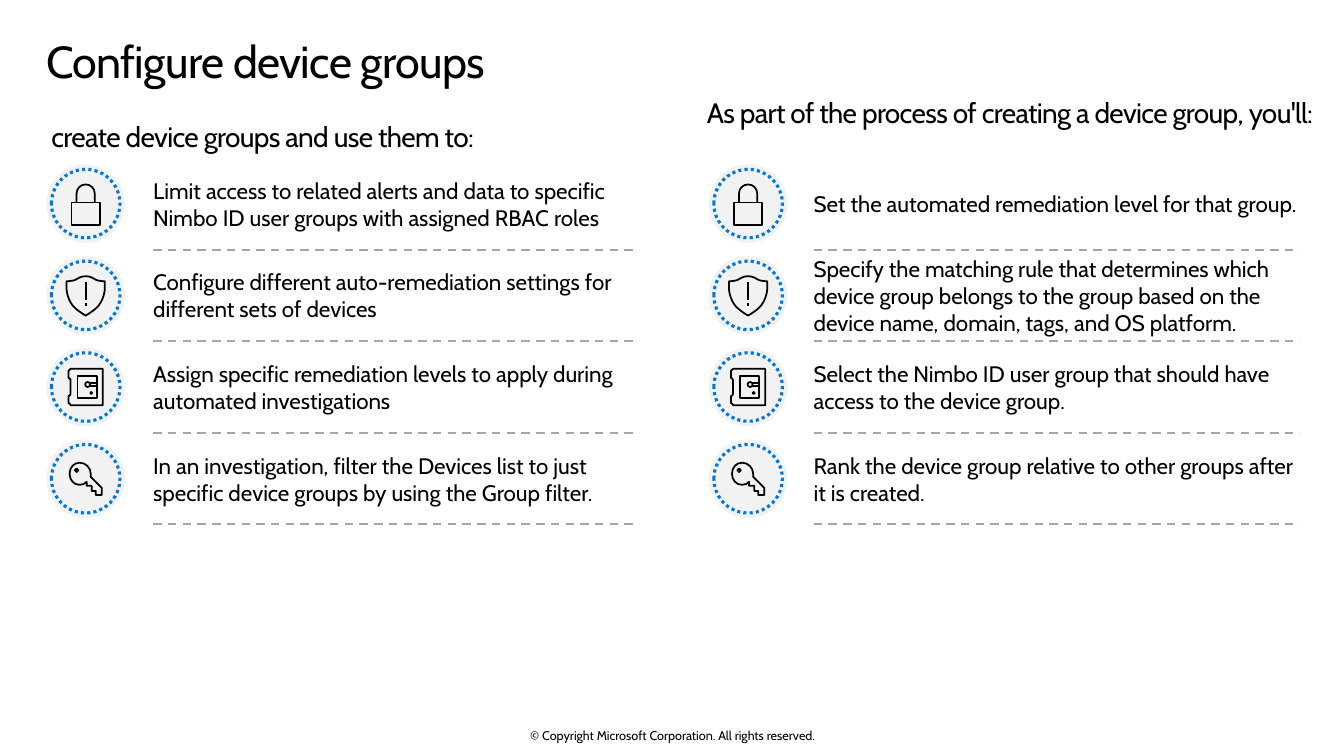
from pptx import Presentation
from pptx.dml.color import RGBColor
from pptx.enum.dml import MSO_LINE
from pptx.enum.shapes import MSO_CONNECTOR, MSO_SHAPE
from pptx.enum.text import MSO_ANCHOR, PP_ALIGN
from pptx.oxml.ns import qn
from pptx.util import Inches, Pt

DASH, DOTS = MSO_LINE.DASH, MSO_LINE.ROUND_DOT
STRAIGHT, OVAL = MSO_CONNECTOR.STRAIGHT, MSO_SHAPE.OVAL
TOP, MIDDLE = MSO_ANCHOR.TOP, MSO_ANCHOR.MIDDLE
LEFT, CENTER = PP_ALIGN.LEFT, PP_ALIGN.CENTER

FONT = "Cabin"
BLACK, GRAY, PALE, BLUE = "000000", "A6A6A6", "F2F2F2", "0078D4"
ROW_PITCH, FIRST_CENTER = 0.91, 2.02
FIRST_RULE, LAST_RULE = 2.48, 5.2
TEXT_WIDTH, TEXT_HEIGHT, RULE_WIDTH = 4.8, 0.72, 4.82
DISC_SIZE, RING_SIZE = 0.78, 0.68
TIGHT = -49

# Each column: icon centre, text left edge, item texts
COLUMNS = [
    (0.85, 1.52, [
        "Limit access to related alerts and data to specific "
        "Nimbo ID user groups with assigned RBAC roles",
        "Configure different auto-remediation settings for different sets of devices",
        "Assign specific remediation levels to apply during automated investigations",
        "In an investigation, filter the Devices list to just "
        "specific device groups by using the Group filter.",
    ]),
    (7.42, 8.07, [
        "Set the automated remediation level for that group.",
        "Specify the matching rule that determines which device group belongs "
        "to the group based on the device name, domain, tags, and OS platform.",
        "Select the Nimbo ID user group that should have access to the device group.",
        "Rank the device group relative to other groups after it is created.",
    ]),
]


def circle(x, y, r):
    """Return a circle as a start point and four cubic curves."""
    k = 0.55 * r
    return [(x, y + r),
            (x + k, y + r, x + r, y + k, x + r, y),
            (x + r, y - k, x + k, y - r, x, y - r),
            (x - k, y - r, x - r, y - k, x - r, y),
            (x - r, y + k, x - k, y + r, x, y + r)]


# Icon strokes as (closed, points), in hundredths of an inch from the icon centre.
# A pair is a corner; six numbers are a cubic curve from the point before.
LOCK = [
    (True, [(14, 21), (-14, 21), (-14, -1), (14, -1)]),
    (False, [(9, -1), (9, -10), (9, -15, 5, -19, 0, -19),
             (-5, -19, -9, -15, -9, -10), (-9, -1)]),
]
SHIELD = [
    (True, [(-13, 10), (-19, 2, -19, -7, -19, -7), (-19, -14),
            (-19, -14, -15, -14, -11, -15), (-7, -17, -5, -19, 0, -19),
            (5, -19, 7, -17, 11, -15), (15, -14, 19, -14, 19, -14), (19, -7),
            (19, -7, 19, 2, 13, 10), (9, 15, 0, 20, 0, 20),
            (0, 20, -9, 15, -13, 10)]),
    (False, [(0, -13), (0, 5)]),
    (False, [(0, 8), (0, 11)]),
]
SAFE = [
    (True, [(17, -18), (17, 18), (-15, 18), (-15, 17, -16, 16, -17, 16), (-17, 9),
            (-16, 9, -15, 8, -15, 7), (-15, -7), (-15, -8, -16, -9, -17, -9),
            (-17, -16), (-16, -16, -15, -17, -15, -18)]),
    (True, [(11, -11), (-8, -11), (-8, 11), (11, 11)]),
    (True, circle(2, -2.5, 2.5)),
    (True, circle(5.5, 6, 1)),
    (False, [(4, -4), (11, -4)]),
    (False, [(4, -1), (11, -1)]),
]
KEY = [
    (True, [(1, 3), (-1, 5, -3, 6, -6, 6), (-12, 6, -16, 1, -16, -5),
            (-16, -11, -12, -16, -6, -16), (0, -16, 5, -11, 5, -5),
            (5, -4, 5, -3, 5, -2), (16, 9), (16, 16), (10, 16), (10, 12),
            (6, 12), (6, 7), (1, 7)]),
    (True, circle(-9, -8.5, 1.75)),
]
ICONS = [LOCK, SHIELD, SAFE, KEY]


def color(hex_value):
    return RGBColor.from_string(hex_value)


def set_line(line, hex_value, width, dash=None):
    line.color.rgb = color(hex_value)
    line.width = Pt(width)
    if dash is not None:
        line.dash_style = dash


def add_text(slide, text, left, top, width, height, size, anchor=TOP,
             align=LEFT, spacing=0, insets=(0, 0, 0, 0)):
    """Add a one-paragraph box; spacing is between letters, in hundredths of a point."""
    box = slide.shapes.add_textbox(Inches(left), Inches(top), Inches(width), Inches(height))
    frame = box.text_frame
    frame.word_wrap = True
    frame.vertical_anchor = anchor
    (frame.margin_left, frame.margin_top,
     frame.margin_right, frame.margin_bottom) = map(Inches, insets)
    paragraph = frame.paragraphs[0]
    run = paragraph.add_run()
    run.text = text
    if spacing:
        run.font._element.set("spc", str(spacing))
    paragraph.alignment = align
    paragraph.font.name = FONT
    paragraph.font.size = Pt(size)
    paragraph.font.color.rgb = color(BLACK)
    return paragraph


def add_rule(slide, left, y):
    rule = slide.shapes.add_connector(
        STRAIGHT, Inches(left), Inches(y), Inches(left + RULE_WIDTH), Inches(y))
    set_line(rule.line, GRAY, 1.5, DASH)
    properties = rule._element.spPr
    properties.append(properties.makeelement(qn("a:effectLst"), {}))


def add_circle(slide, x, y, size):
    shape = slide.shapes.add_shape(
        OVAL, Inches(x - size / 2), Inches(y - size / 2), Inches(size), Inches(size))
    shape.shadow.inherit = False
    return shape


def bend(segment, points, origin):
    """Turn a straight segment into a cubic curve through the given points."""
    segment.tag = qn("a:cubicBezTo")
    segment.clear()
    for point in points:
        x, y = (int(value - start) for value, start in zip(point, origin))
        segment.append(segment.makeelement(qn("a:pt"), {"x": str(x), "y": str(y)}))


def add_outline(slide, strokes, x, y):
    builder = None
    curves = []
    for closed, points in strokes:
        placed = [[(Inches(x + dx / 100), Inches(y + dy / 100))
                   for dx, dy in zip(point[::2], point[1::2])] for point in points]
        start, *ends = [point[-1] for point in placed]
        if builder is None:
            builder = slide.shapes.build_freeform(*start)
        else:
            builder.move_to(*start)
        builder.add_line_segments(ends, close=closed)
        curves += placed[1:]
    outline = builder.convert_to_shape()
    segments = list(outline._element.iter(qn("a:lnTo")))
    for segment, points in zip(segments, curves):
        if len(points) == 3:
            segment_origin = (outline.left, outline.top)
            bend(segment, points, segment_origin)
    outline.shadow.inherit = False
    outline.fill.background()
    set_line(outline.line, BLACK, 1.25)


def add_icon(slide, strokes, x, y):
    disc = add_circle(slide, x, y, DISC_SIZE)
    disc.fill.solid()
    disc.fill.fore_color.rgb = color(PALE)
    disc.line.fill.background()
    ring = add_circle(slide, x, y, RING_SIZE)
    ring.fill.background()
    set_line(ring.line, BLUE, 2.25, DOTS)
    add_outline(slide, strokes, x, y)


def add_column(slide, icon_x, text_left, items):
    rule_pitch = (LAST_RULE - FIRST_RULE) / (len(items) - 1)
    for row, (strokes, text) in enumerate(zip(ICONS, items)):
        center = FIRST_CENTER + row * ROW_PITCH
        add_rule(slide, text_left, FIRST_RULE + row * rule_pitch)
        add_icon(slide, strokes, icon_x, center)
        add_text(slide, text, text_left, center - TEXT_HEIGHT / 2,
                 TEXT_WIDTH, TEXT_HEIGHT, 16, MIDDLE)


def main():
    presentation = Presentation()
    presentation.slide_width = Inches(13.33)
    presentation.slide_height = Inches(7.5)
    slide = presentation.slides.add_slide(presentation.slide_layouts[6])

    title = add_text(slide, "Configure device groups", 0.46, 0.29, 12.4, 0.74, 32,
                     spacing=TIGHT, insets=(0, 0.1, 0.16, 0.1))
    title.line_spacing = 0.9
    add_text(slide, "create device groups and use them to:",
             0.51, 1.19, 5.81, 0.34, 20, spacing=TIGHT)
    add_text(slide, "As part of the process of creating a device group, you'll:",
             7.01, 0.95, 6.25, 0.67, 20, spacing=TIGHT)
    for column in COLUMNS:
        add_column(slide, *column)
    add_text(slide, "© Copyright Microsoft Corporation. All rights reserved.",
             4.42, 7.22, 4.5, 0.15, 9, MIDDLE, CENTER)
    presentation.save("out.pptx")


if __name__ == "__main__":
    main()
